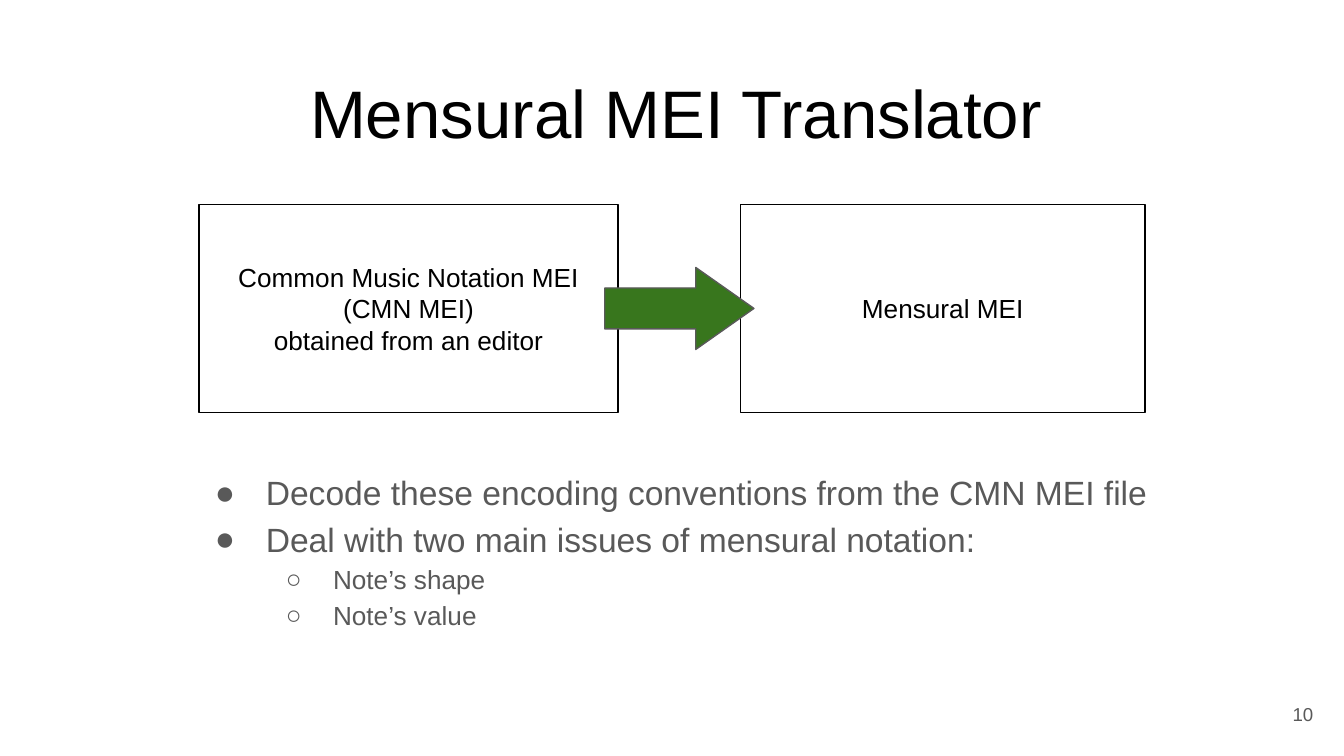
import dataclasses
import lxml.etree
import pptx
import pptx.dml.color
import pptx.enum.shapes
import pptx.enum.text
import pptx.oxml.ns
import pptx.util

ALIGN = pptx.enum.text.PP_ALIGN
ANCHOR = pptx.enum.text.MSO_ANCHOR
SHAPE = pptx.enum.shapes.MSO_SHAPE
UNIT = 0.1  # inches in one column or row of the grid
COLS, ROWS = 100, 56.25


@dataclasses.dataclass(frozen=True)
class Theme:
    font: str = "Arial"
    ink: str = "000000"
    grey: str = "595959"
    green: str = "38761D"
    title: int = 36
    lead: int = 18
    base: int = 14
    small: int = 10
    line: float = 0.75


THEME = Theme()


def grid(count):
    return pptx.util.Inches(count * UNIT)


def color(code):
    return pptx.dml.color.RGBColor.from_string(code)


def apply(target, values):
    for name, value in values.items():
        setattr(target, name, value)


def write(shape, lines, tint, align=ALIGN.CENTER, anchor=ANCHOR.MIDDLE):
    """Fill a shape with (text, size) lines and return its paragraphs."""
    frame = shape.text_frame
    edges = ("left", "top", "right", "bottom")
    apply(frame, {f"margin_{edge}": grid(1) for edge in edges})
    apply(frame, {"word_wrap": True, "vertical_anchor": anchor})
    for index, (text, size) in enumerate(lines):
        para = frame.add_paragraph() if index else frame.paragraphs[0]
        para.alignment = align
        run = para.add_run()
        run.text = text
        apply(run.font, {"name": THEME.font, "size": pptx.util.Pt(size)})
        run.font.color.rgb = color(tint)
    return frame.paragraphs


def add_text(slide, box, lines, tint, **style):
    shape = slide.shapes.add_textbox(*map(grid, box))
    return write(shape, lines, tint, **style)


def add_form(slide, kind, box, edge, fill=None):
    shape = slide.shapes.add_shape(kind, *map(grid, box))
    shape.shadow.inherit = False
    if fill:
        shape.fill.solid()
        shape.fill.fore_color.rgb = color(fill)
    else:
        shape.fill.background()
    shape.line.color.rgb = color(edge)
    shape.line.width = pptx.util.Pt(THEME.line)
    return shape


def add_flow(slide, box, source, target):
    """Put source and target at the two ends, with an arrow lapping both."""
    left, top, width, height = box
    first, last, lap, tall = 31.2, 30.1, 1, 6.1
    start = left + width - last
    for x, wide, lines in ((left, first, source), (start, last, target)):
        card = add_form(slide, SHAPE.RECTANGLE, (x, top, wide, height), THEME.ink)
        write(card, [(line, THEME.base) for line in lines], THEME.ink)
    tail = left + first - lap
    area = (tail, top + (height - tall) / 2, start + lap - tail, tall)
    arrow = add_form(slide, SHAPE.RIGHT_ARROW, area, THEME.grey, THEME.green)
    arrow.adjustments[1] = 0.71


def add_mark(para, level):
    """Give a paragraph the bullet and hanging indent of its level."""
    sign, hang = (("●", 3.8), ("○", 3.5))[level]
    apply(para, {"level": level, "line_spacing": 1.15})
    props = para._p.get_or_add_pPr()
    props.set("marL", str(grid(5 * (level + 1))))
    props.set("indent", str(-grid(hang)))
    name = pptx.oxml.ns.qn
    tint = lxml.etree.SubElement(props, name("a:buClr"))
    lxml.etree.SubElement(tint, name("a:srgbClr"), val=THEME.grey)
    lxml.etree.SubElement(props, name("a:buFont"), typeface=THEME.font)
    lxml.etree.SubElement(props, name("a:buChar"), char=sign)


def add_list(slide, box, items):
    sizes = (THEME.lead, THEME.base)
    lines = [(text, sizes[level]) for text, level in items]
    paras = add_text(slide, box, lines, THEME.grey,
                     align=ALIGN.LEFT, anchor=ANCHOR.TOP)
    for para, (_, level) in zip(paras, items):
        add_mark(para, level)


def main():
    deck = pptx.Presentation()
    apply(deck, {"slide_width": grid(COLS), "slide_height": grid(ROWS)})
    slide = deck.slides.add_slide(deck.slide_layouts[6])
    add_text(slide, (3.7, 3.7, 93.2, 9.2),
             [("Mensural MEI Translator", THEME.title)], THEME.ink)
    add_flow(slide, (14.8, 15.2, 70.4, 15.5),
             ("Common Music Notation MEI", "(CMN MEI)", "obtained from an editor"),
             ("Mensural MEI",))
    add_list(slide, (13.8, 33.7, 73, 14.1), (
        ("Decode these encoding conventions from the CMN MEI file", 0),
        ("Deal with two main issues of mensural notation:", 0),
        ("Note’s shape", 1),
        ("Note’s value", 1),
    ))
    add_text(slide, (92.7, 51, 6, 4.3), [("10", THEME.small)], THEME.grey,
             align=ALIGN.RIGHT)
    deck.save("out.pptx")


if __name__ == "__main__":
    main()
